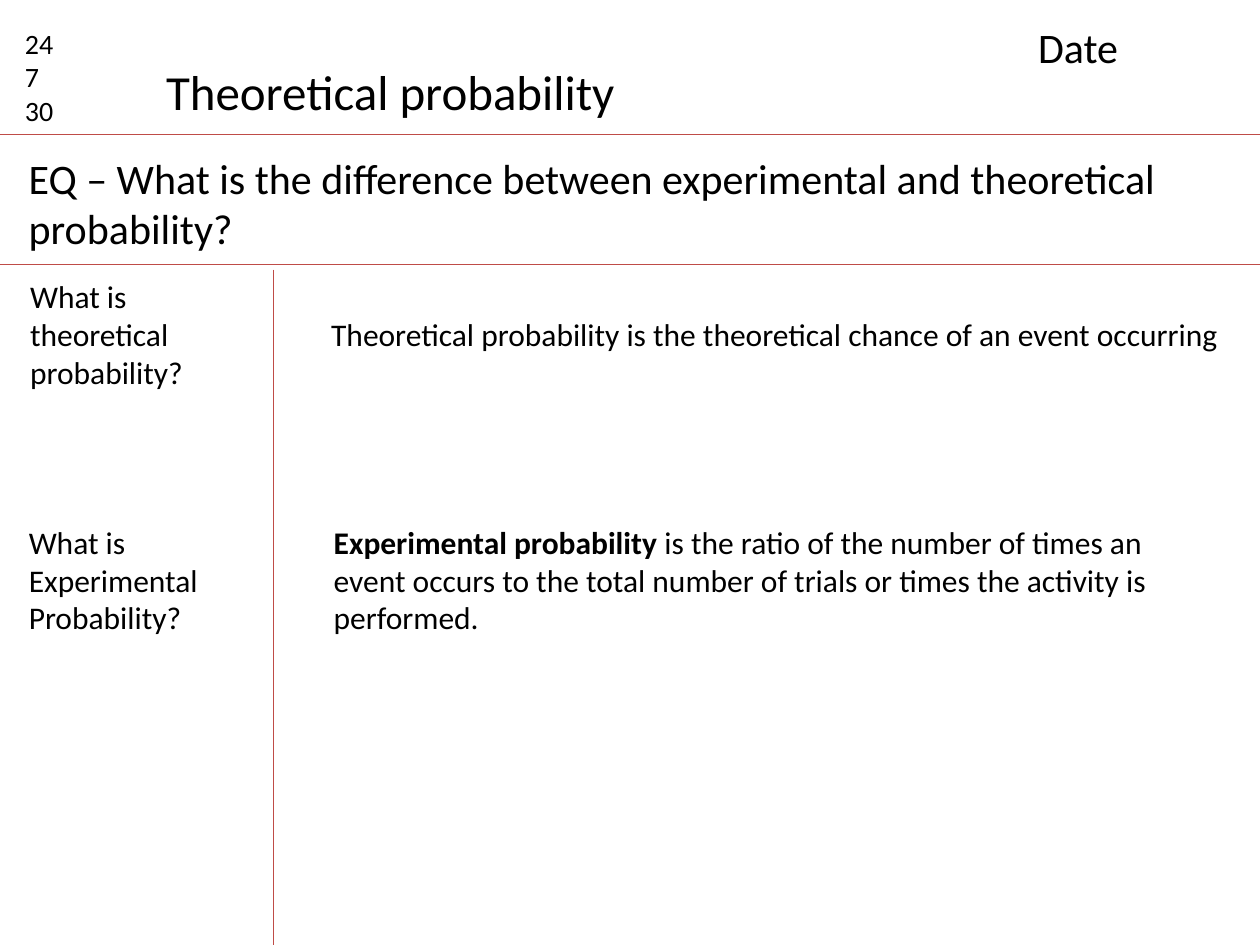
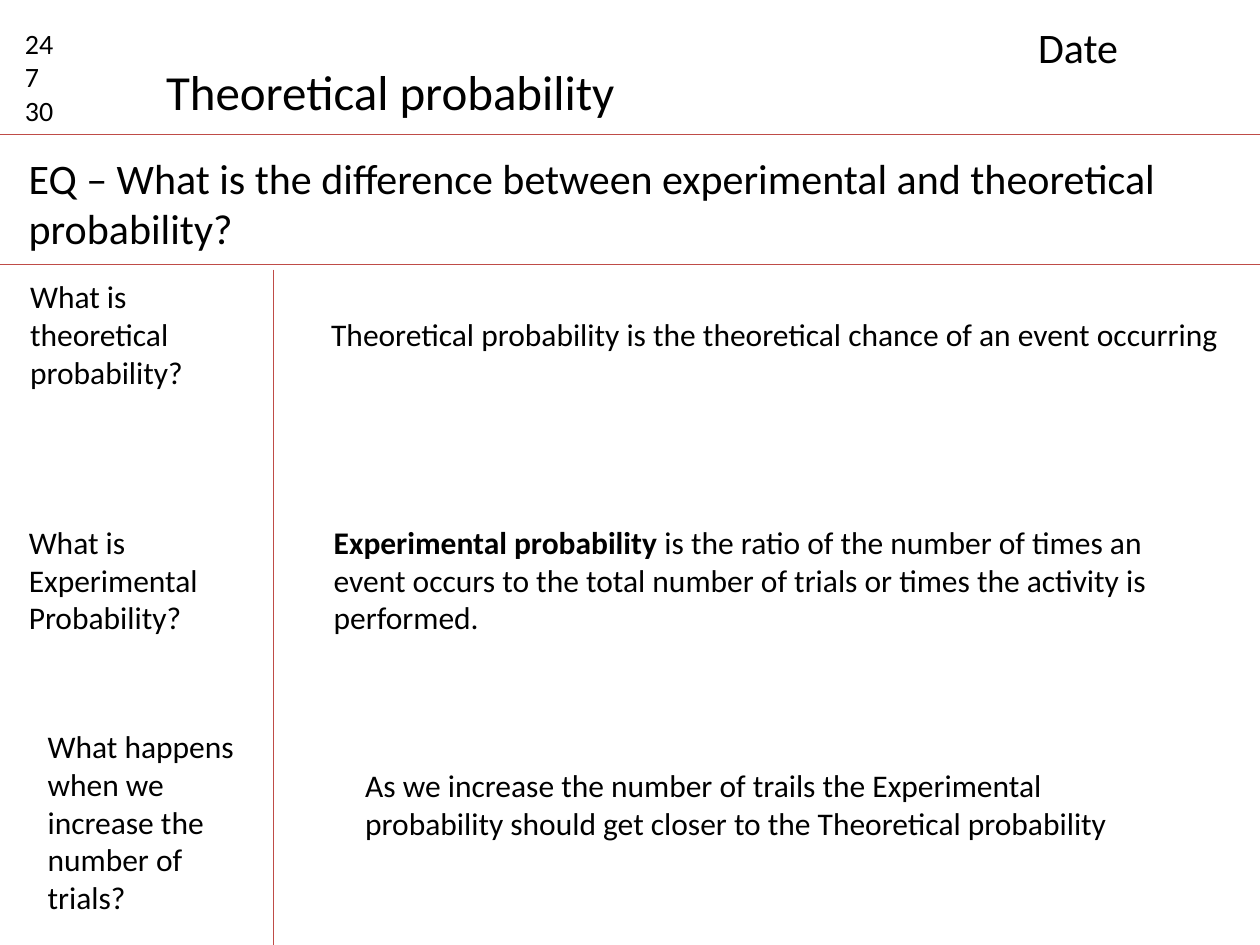
from dataclasses import dataclass

from lxml import etree
from pptx import Presentation
from pptx.dml.color import RGBColor
from pptx.enum.shapes import MSO_CONNECTOR
from pptx.enum.text import MSO_AUTO_SIZE
from pptx.oxml.ns import qn
from pptx.slide import Slide
from pptx.util import Inches, Pt

STRAIGHT = MSO_CONNECTOR.STRAIGHT
GROW = MSO_AUTO_SIZE.SHAPE_TO_FIT_TEXT
FONT = "Calibri"
COLORS = {"text": "000000", "rule": "BF4C48"}
WIDTH, HEIGHT = 10, 7.5


@dataclass(frozen=True)
class Rule:
    left: float
    top: float
    right: float
    bottom: float


@dataclass(frozen=True)
class Note:
    left: float
    top: float
    width: float
    height: float
    text: str
    size: int = 18
    wrap: bool = True
    lead: str = ""


RULES = [
    Rule(0, 1.07, WIDTH, 1.07),
    Rule(0, 2.1, WIDTH, 2.1),
    Rule(2.17, 2.14, 2.17, HEIGHT),
]

HEADER = [
    Note(0.1, 0.16, 0.63, 0.91, "24\n7\n30", 16),
    Note(1.22, 0.44, 3.8, 0.57, "Theoretical probability", 28, wrap=False),
    Note(8.14, 0.12, 1.73, 0.5, "Date", 24),
    Note(0.13, 1.16, 9.43, 0.91,
         "EQ – What is the difference between experimental and theoretical probability?", 24),
]

BASICS = [
    Note(0.14, 2.15, 1.91, 1.01, "What is theoretical probability?"),
    Note(2.53, 2.45, 7.33, 0.4,
         "Theoretical probability is the theoretical chance of an event occurring", wrap=False),
    Note(0.13, 4.1, 1.91, 1.01, "What is Experimental Probability?"),
    Note(2.55, 4.1, 6.75, 1.01,
         " is the ratio of the number of times an event occurs to the total number of "
         "trials or times the activity is performed.", lead="Experimental probability"),
]

TRIALS = [
    Note(0.28, 5.72, 1.77, 1.62, "What happens when we increase the number of trials?"),
    Note(2.8, 6.03, 6.69, 0.71,
         "As we increase the number of trails the Experimental probability should get "
         "closer to the Theoretical probability"),
]


def color(name: str) -> RGBColor:
    return RGBColor.from_string(COLORS[name])


def draw_rule(slide: Slide, rule: Rule) -> None:
    line = slide.shapes.add_connector(
        STRAIGHT, Inches(rule.left), Inches(rule.top), Inches(rule.right), Inches(rule.bottom))
    line.line.color.rgb = color("rule")
    line.line.width = Pt(0.75)
    etree.SubElement(line._element.spPr, qn("a:effectLst"))


def draw_note(slide: Slide, note: Note) -> None:
    box = slide.shapes.add_textbox(
        Inches(note.left), Inches(note.top), Inches(note.width), Inches(note.height))
    frame = box.text_frame
    frame.word_wrap = note.wrap
    frame.auto_size = GROW
    if note.lead:
        para = frame.paragraphs[0]
        lead = para.add_run()
        lead.text = note.lead
        lead.font.bold = True
        para.add_run().text = note.text
    else:
        frame.text = note.text
    for para in frame.paragraphs:
        para.font.name = FONT
        para.font.size = Pt(note.size)
        para.font.color.rgb = color("text")


def main() -> None:
    deck = Presentation()
    deck.slide_width, deck.slide_height = Inches(WIDTH), Inches(HEIGHT)
    blank = deck.slide_layouts[6]
    for notes in (BASICS, BASICS + TRIALS):
        slide = deck.slides.add_slide(blank)
        for rule in RULES:
            draw_rule(slide, rule)
        for note in HEADER + notes:
            draw_note(slide, note)
    deck.save("out.pptx")


if __name__ == "__main__":
    main()
